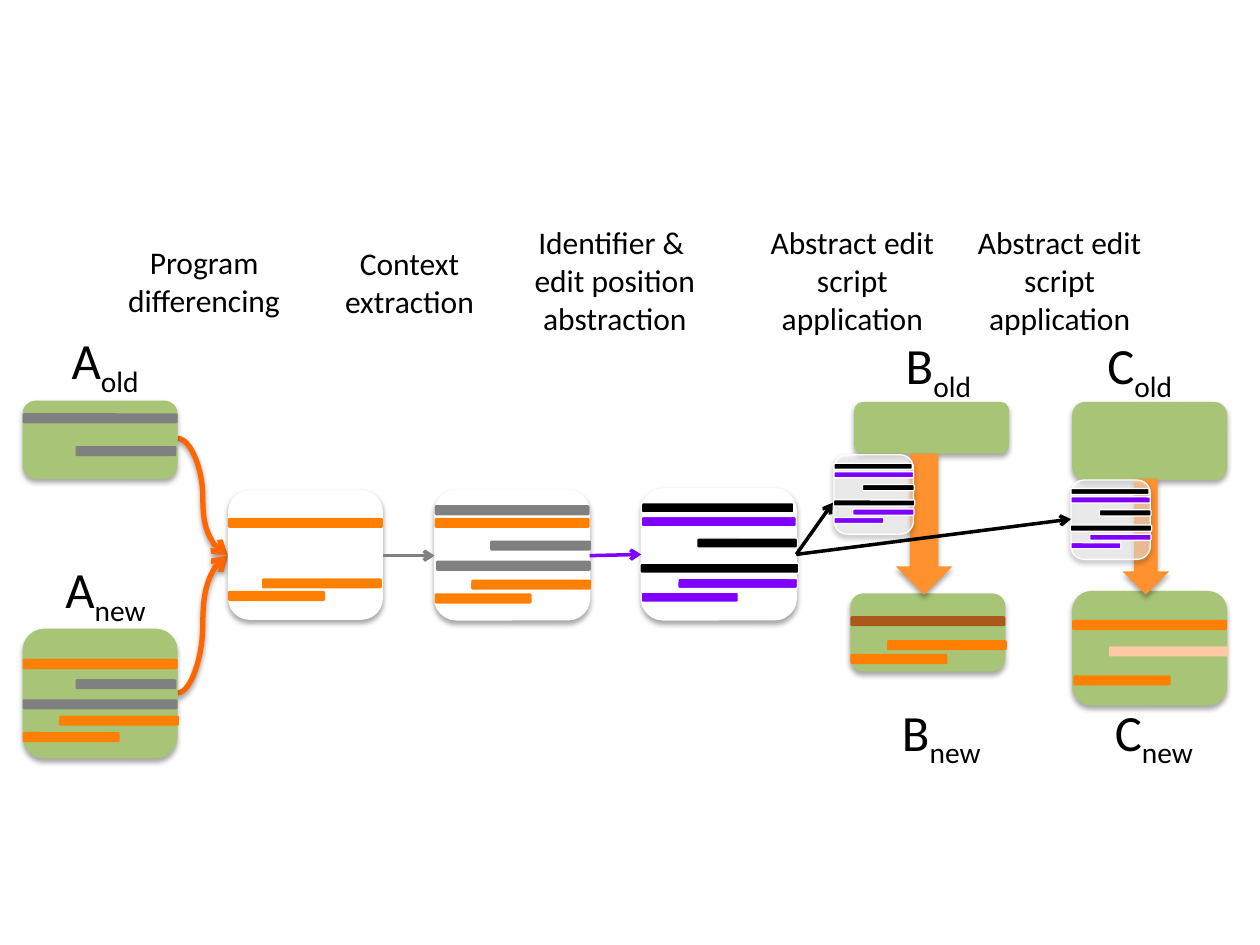
import pptx
import pptx.util
import pptx.dml.color
import pptx.enum.shapes
import pptx.enum.text
import pptx.oxml.ns
import lxml.etree

SHAPE = pptx.enum.shapes.MSO_SHAPE
LINK = pptx.enum.shapes.MSO_CONNECTOR
ALIGN = pptx.enum.text.PP_ALIGN
QN = pptx.oxml.ns.qn

GREEN, WHITE, BLACK, GRAY = "A8C476", "FFFFFF", "000000", "808080"
ORANGE, PURPLE, BROWN, PEACH = "FF8000", "8000FF", "AB591B", "FDCAA5"
FLOW, APPLY = "FF6600", "FF912F"


def colour(value):
    return pptx.dml.color.RGBColor.from_string(value)


def inches(value):
    return pptx.util.Cm(value * 2.54)


class Diagram:
    """Holds the style and the current slide of an edit script diagram."""

    font = {"name": "Calibri", "bold": False}
    margins = ("margin_left", "margin_top", "margin_right", "margin_bottom")

    def __init__(self, width, height):
        self.deck = pptx.Presentation()
        self.deck.slide_width = inches(width)
        self.deck.slide_height = inches(height)
        self.page = self.deck.slides.add_slide(self.deck.slide_layouts[6])

    def cast_shadow(self, effects, alpha=35):
        shade = lxml.etree.SubElement(
            effects, QN("a:outerShdw"), blurRad="39400", dist="22900",
            dir="5400000", rotWithShape="0")
        tone = lxml.etree.SubElement(shade, QN("a:srgbClr"), val=BLACK)
        lxml.etree.SubElement(tone, QN("a:alpha"), val=str(alpha * 1000))

    def shape(self, kind, place, fill, parent=None, outline=None, shadow=False, alpha=None):
        box = (parent or self.page).shapes.add_shape(kind, *map(inches, place))
        box.shadow.inherit = False
        box.fill.solid()
        box.fill.fore_color.rgb = colour(fill)
        if alpha:
            tone = box._element.xpath("./p:spPr/a:solidFill/a:srgbClr")[0]
            lxml.etree.SubElement(tone, QN("a:alpha"), val=str(alpha * 1000))
        if outline:
            box.line.color.rgb = colour(outline)
            box.line.width = pptx.util.Pt(0.75)
        else:
            box.line.fill.background()
        if shadow:
            self.cast_shadow(box._element.spPr.find(QN("a:effectLst")))
        return box

    def card(self, place, fill, bars=(), scale=(1, 1), outline=None, bar_outline=None, alpha=None):
        left, top = place[:2]
        across, down = scale
        group = self.page.shapes.add_group_shape()
        self.shape(SHAPE.ROUNDED_RECTANGLE, place, fill, group, outline, True, alpha)
        for dx, dy, width, tone in bars:
            bar = (left + dx * across, top + dy * down, width * across, 0.08 * down)
            self.shape(SHAPE.ROUNDED_RECTANGLE, bar, tone, group, bar_outline)

    def add_span(self, para, text, size, baseline=0):
        span = para.add_run()
        span.text = text
        values = {**self.font, "size": pptx.util.Pt(size)}
        for name, value in values.items():
            setattr(span.font, name, value)
        span.font.color.rgb = colour(BLACK)
        if baseline:
            span._r.get_or_add_rPr().set("baseline", str(baseline * 1000))

    def step(self, place, *lines):
        frame = self.page.shapes.add_textbox(*map(inches, place)).text_frame
        frame.word_wrap = True
        for margin in self.margins:
            setattr(frame, margin, 0)
        for index, text in enumerate(lines):
            para = frame.add_paragraph() if index else frame.paragraphs[0]
            para.alignment = ALIGN.CENTER
            self.add_span(para, text, 18)

    def version(self, place, letter, age):
        frame = self.page.shapes.add_textbox(*map(inches, place)).text_frame
        frame.word_wrap = True
        self.add_span(frame.paragraphs[0], letter, 29)
        self.add_span(frame.paragraphs[0], age, 29, -25)

    def arrow(self, start, end, tone, width=2, kind=LINK.STRAIGHT, shadow=False):
        link = self.page.shapes.add_connector(kind, *map(inches, start + end))
        link.line.color.rgb = colour(tone)
        link.line.width = pptx.util.Pt(width)
        outline = link._element.spPr.find(QN("a:ln"))
        lxml.etree.SubElement(outline, QN("a:tailEnd"), type="arrow")
        effects = lxml.etree.SubElement(link._element.spPr, QN("a:effectLst"))
        if shadow:
            self.cast_shadow(effects, 38)


def edit_bars(tone, middle=0.71, last=0.82, first=0.22, indent=0.29):
    return [(indent, middle, 0.95, tone), (0, first, 1.23, tone), (0, last, 0.77, tone)]


diagram = Diagram(10, 7.5)

for source in ((1.41, 3.48), (1.41, 5.5)):
    diagram.arrow(source, (1.81, 4.41), FLOW, 3, LINK.CURVE, True)

for place, lines in (
    ((0.83, 1.93, 1.58, 0.61), ["Program differencing"]),
    ((2.57, 1.94, 1.36, 0.61), ["Context extraction"]),
    ((4.01, 1.77, 1.74, 0.91), ["Identifier & ", "edit position abstraction"]),
    ((6.01, 1.77, 1.51, 0.91), ["Abstract edit script application"]),
    ((7.68, 1.77, 1.46, 0.91), ["Abstract edit script application"]),
):
    diagram.step(place, *lines)

old_a = [(0, 0.1, 1.23, GRAY), (0.42, 0.36, 0.8, GRAY)]
new_a = edit_bars(ORANGE, 0.69, 0.82, 0.24) + [(0.42, 0.4, 0.8, GRAY), (0, 0.56, 1.23, GRAY)]
new_b = [(0.29, 0.37, 0.95, ORANGE), (0, 0.18, 1.23, BROWN), (0, 0.48, 0.77, ORANGE)]
new_c = [(0.29, 0.44, 0.95, PEACH), (0, 0.23, 1.23, ORANGE), (0.01, 0.67, 0.77, ORANGE)]
context = [(0, 0.12, 1.23, GRAY), (0.44, 0.4, 0.8, GRAY), (0.01, 0.56, 1.23, GRAY)]
script = edit_bars(PURPLE) + [
    (0, 0.11, 1.21, BLACK), (0.44, 0.39, 0.8, BLACK), (-0.01, 0.59, 1.26, BLACK)]

for place, bars in (
    ((0.18, 3.18, 1.23, 0.62), old_a),
    ((0.18, 4.99, 1.23, 1.03), new_a),
    ((6.78, 3.19, 1.23, 0.41), []),
    ((6.75, 4.71, 1.23, 0.62), new_b),
    ((8.51, 3.19, 1.23, 0.62), []),
    ((8.51, 4.69, 1.23, 0.91), new_c),
):
    diagram.card(place, GREEN, bars)

diagram.card((1.81, 3.89, 1.23, 1.03), WHITE, edit_bars(ORANGE, 0.7, 0.8, indent=0.27))
diagram.card((3.45, 3.89, 1.23, 1.03), WHITE, edit_bars(ORANGE) + context, outline=WHITE)
diagram.card((5.09, 3.88, 1.23, 1.04), WHITE, script, outline=WHITE, bar_outline=WHITE)

for place, letter, age in (
    ((0.47, 2.56, 0.9, 0.59), "A", "old"),
    ((0.42, 4.38, 0.96, 0.59), "A", "new"),
    ((7.09, 2.6, 0.83, 0.59), "B", "old"),
    ((7.06, 5.51, 0.88, 0.59), "B", "new"),
    ((8.69, 2.6, 0.89, 0.59), "C", "old"),
    ((8.75, 5.51, 0.97, 0.59), "C", "new"),
):
    diagram.version(place, letter, age)

for place in ((7.11, 3.6, 0.45, 1.12), (8.91, 3.8, 0.37, 0.92)):
    diagram.shape(SHAPE.DOWN_ARROW, place, APPLY, shadow=True)

for left, top in ((8.5, 3.81), (6.62, 3.61)):
    diagram.card((left, top, 0.63, 0.63), WHITE, script, (0.63 / 1.23, 0.63 / 1.04),
                 WHITE, WHITE, 50)

for start, end, tone in (
    ((3.04, 4.41), (3.45, 4.41), GRAY),
    ((4.68, 4.41), (5.09, 4.4), PURPLE),
    ((6.32, 4.4), (6.61, 3.99), BLACK),
    ((6.32, 4.4), (8.5, 4.12), BLACK),
):
    diagram.arrow(start, end, tone)

diagram.deck.save("out.pptx")
